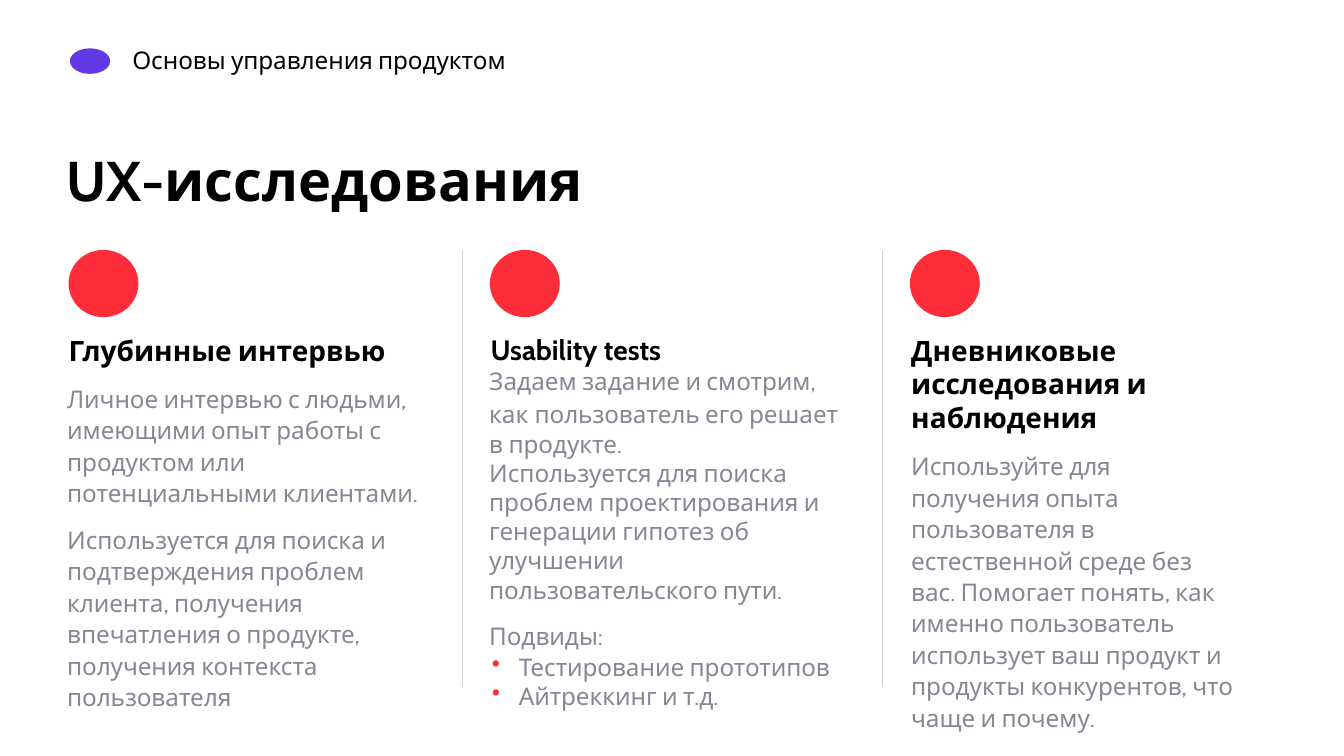
from lxml.etree import SubElement
from pptx import Presentation
from pptx.dml.color import RGBColor
from pptx.enum.shapes import MSO_CONNECTOR, MSO_SHAPE
from pptx.oxml.ns import qn
from pptx.util import Pt

PX = 4572  # 200 px to the inch
RED, GREY, BLACK = "FC2C38", "858793", "000000"


def ink(color, code):
    color.rgb = RGBColor.from_string(code)


def put(frame, text, size=13, code=GREY, bold=False, gap=0, lead=None,
        left=0, hang=0, dot=False, join=False):
    """Add a paragraph, or with join a run in the last paragraph."""
    para = frame.paragraphs[-1]
    if para.runs and not join:
        para = frame.add_paragraph()
    if not join:
        props = para._p.get_or_add_pPr()
        props.set("marL", str(left * PX))
        props.set("indent", str(-hang * PX))
        if dot:
            tint = SubElement(props, qn("a:buClr"))
            SubElement(tint, qn("a:srgbClr")).set("val", RED)
            SubElement(props, qn("a:buChar")).set("char", "•")
        para.space_before = Pt(gap)
        if lead:
            para.line_spacing = lead
    run = para.add_run()
    run.text = text
    run.font.name = "Cabin"
    run.font.size = Pt(size)
    run.font.bold = bold
    ink(run.font.color, code)


deck = Presentation()
deck.slide_width, deck.slide_height = 2000 * PX, 1125 * PX
slide = deck.slides.add_slide(deck.slide_layouts[6])
shapes = slide.shapes

# Circles above the columns, and the mark in the header
marks = [(x, 372, 104, 100, RED) for x in (102, 729, 1354)]
marks.append((104, 72, 60, 38, "6339E6"))
for x, y, w, h, code in marks:
    mark = shapes.add_shape(MSO_SHAPE.OVAL, x * PX, y * PX, w * PX, h * PX)
    mark.shadow.inherit = False
    mark.fill.solid()
    ink(mark.fill.fore_color, code)
    mark.line.fill.background()

# Lines between the columns
for x in (688, 1313):
    rule = shapes.add_connector(MSO_CONNECTOR.STRAIGHT, x * PX, 372 * PX, x * PX, 1023 * PX)
    rule.line.width = Pt(0.82)
    ink(rule.line.color, "D2D2D9")
    SubElement(rule._element.spPr, qn("a:effectLst"))

# Text: place, side inset, top inset, then paragraphs with their format
head = dict(size=15, code=BLACK, bold=True, left=2)
body = dict(gap=8, lead=1.08)
item = dict(left=44, hang=40, dot=True)
boxes = [
    ((189, 59, 1182, 50), 8, 8, [
        ("Основы управления продуктом", dict(code=BLACK, lead=1.01)),
    ]),
    ((99, 214, 1666, 98), 0, 2, [
        ("UX-исследования", dict(size=30, code=BLACK, bold=True)),
    ]),
    ((100, 494, 538, 254), 0, 2, [
        ("Глубинные интервью", head),
        ("Личное интервью с людьми, имеющими опыт работы с продуктом или "
         "потенциальными клиентами.", body),
        ("Используется для поиска и подтверждения проблем клиента, получения "
         "впечатления о продукте, получения контекста пользователя", body),
    ]),
    ((728, 493, 538, 344), 0, 2, [
        ("Usability tests", head),
        ("Задаем задание и смотрим, как", {}),
        (" ", dict(size=15, code=BLACK, bold=True, join=True)),
        ("пользователь его решает в продукте.", dict(join=True)),
        ("Используется для поиска проблем проектирования и генерации гипотез "
         "об улучшении пользовательского пути.", {}),
        ("Подвиды:", body),
        ("Тестирование прототипов", dict(item, gap=1)),
        ("Айтреккинг и т.д.", item),
    ]),
    ((1354, 466, 482, 326), 0, 30, [
        ("Дневниковые исследования и наблюдения", head),
        ("Используйте для получения опыта пользователя в естественной среде "
         "без вас. Помогает понять, как именно пользователь использует ваш "
         "продукт и продукты конкурентов, что чаще и почему.", dict(body, left=2)),
    ]),
]
for place, side, top, lines in boxes:
    frame = shapes.add_textbox(*(n * PX for n in place)).text_frame
    frame.word_wrap = True
    frame.margin_left = frame.margin_right = side * PX
    frame.margin_top, frame.margin_bottom = top * PX, side * PX
    for text, style in lines:
        put(frame, text, **style)

deck.save("out.pptx")
